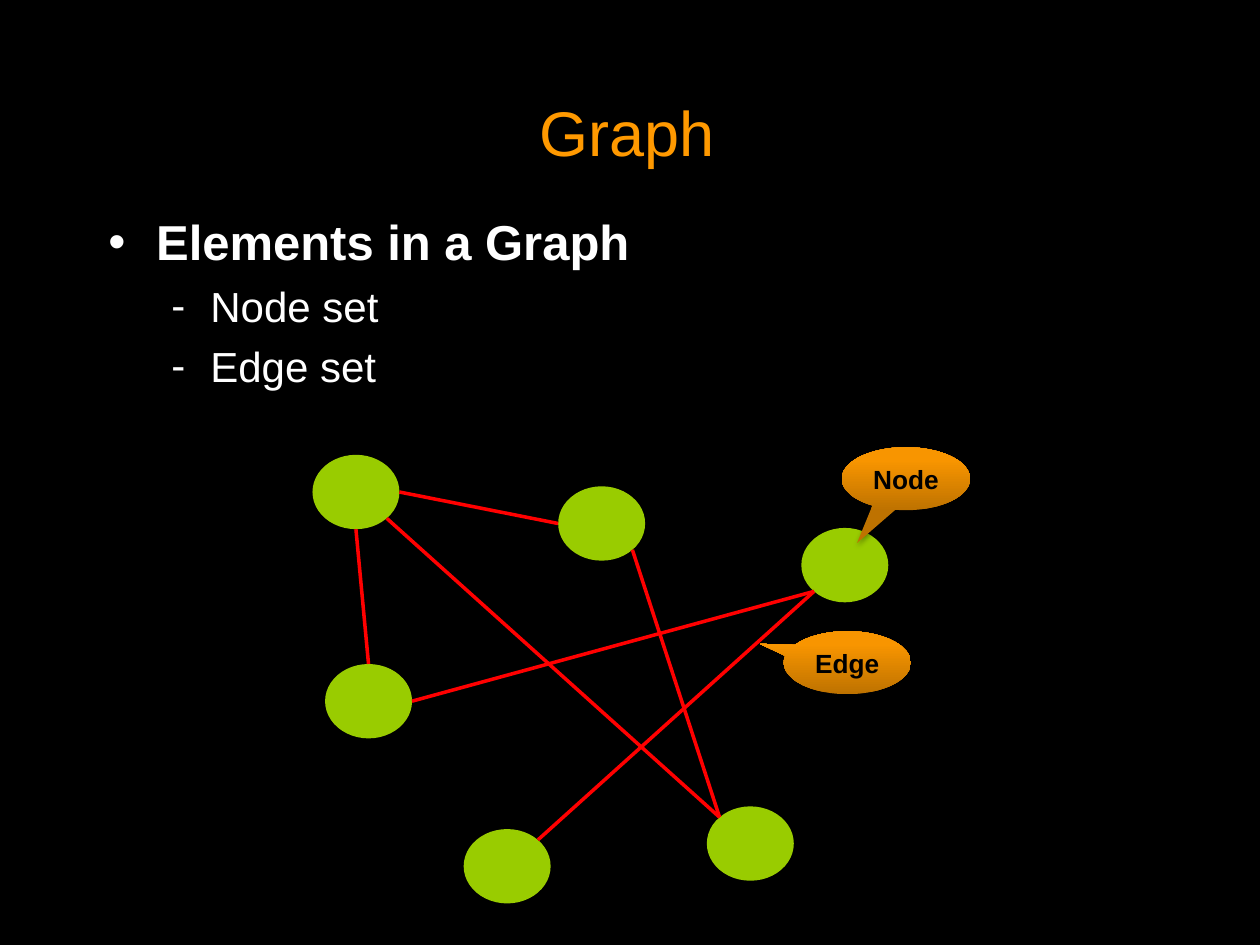
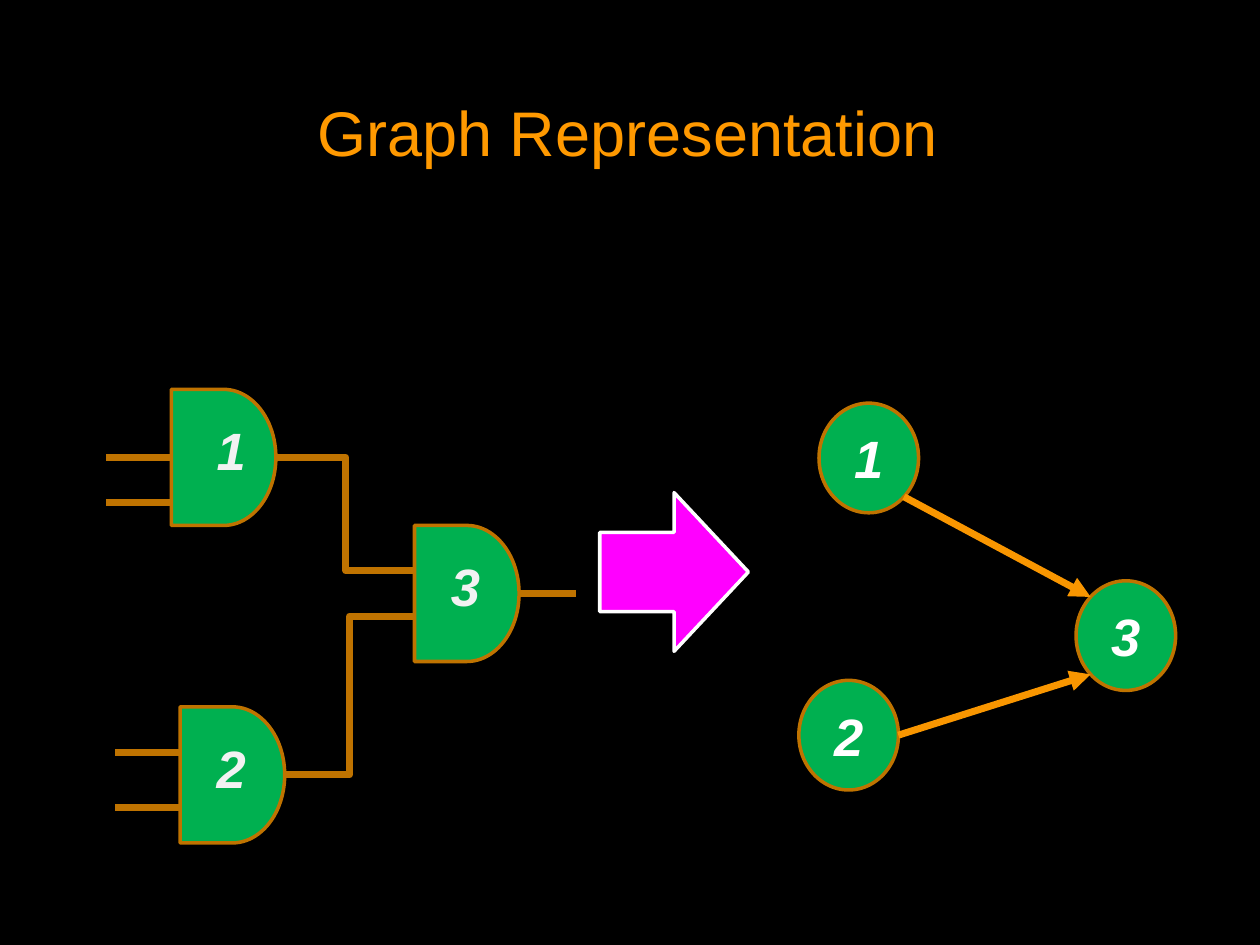
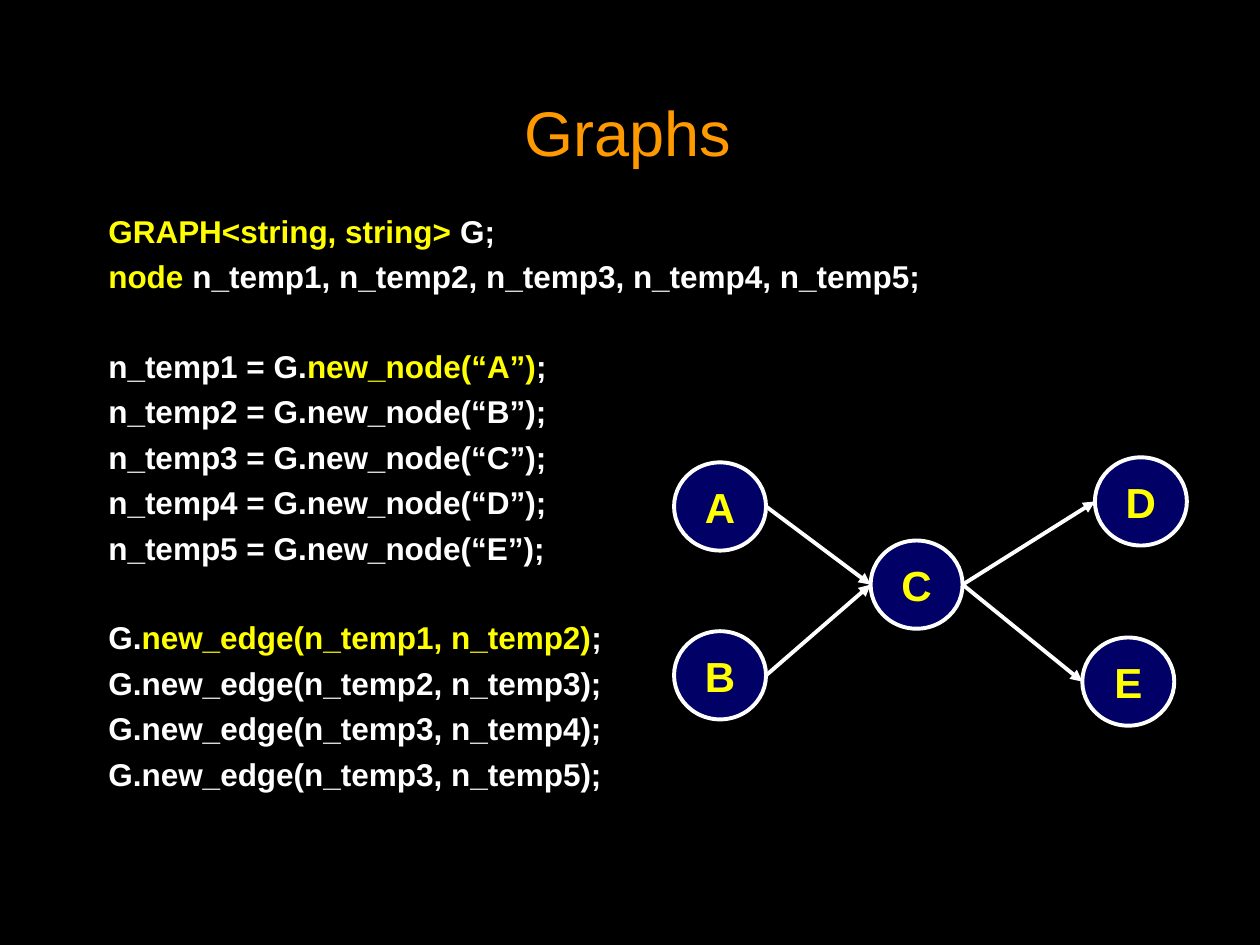
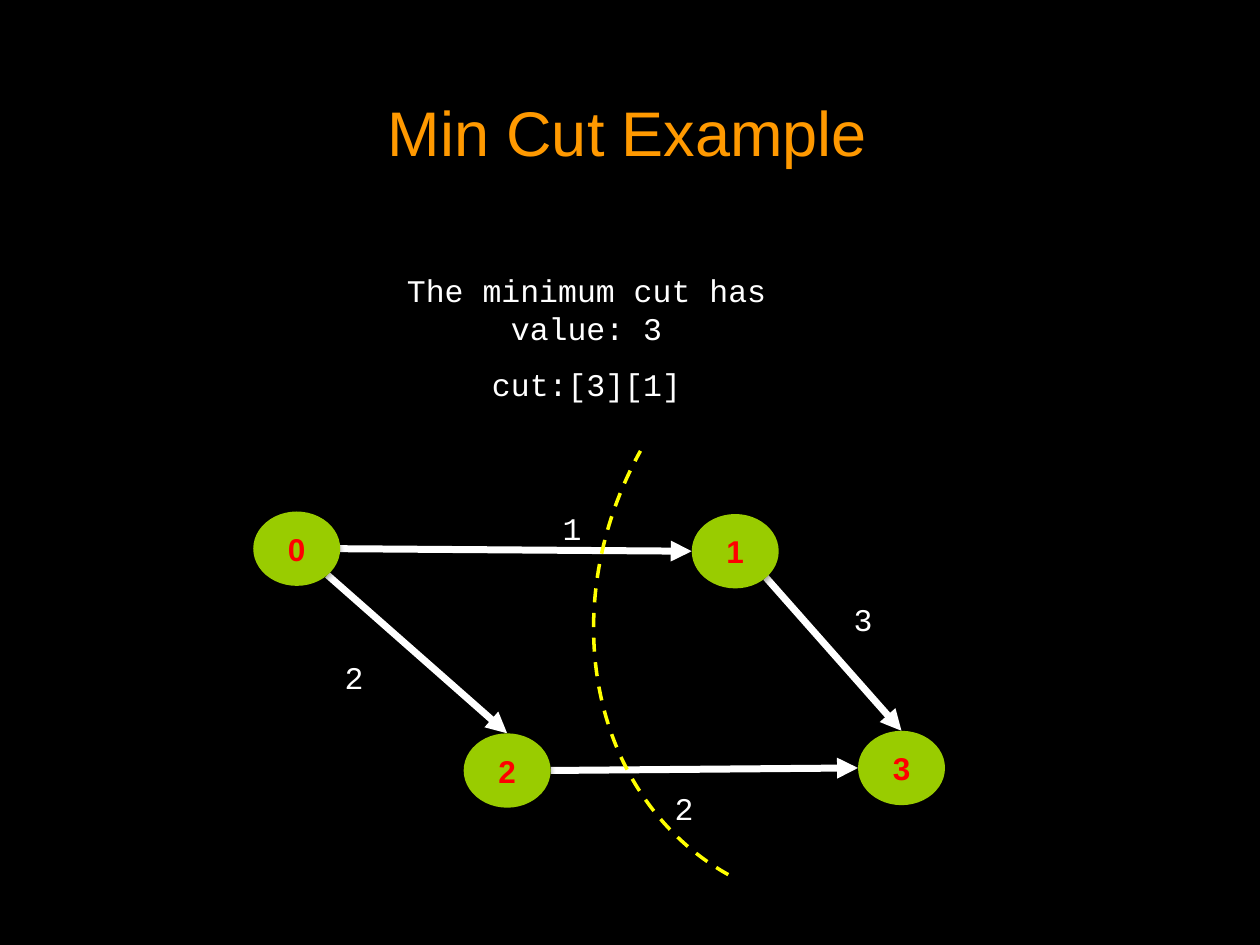
from math import sqrt

from lxml.etree import SubElement
from pptx import Presentation
from pptx.dml.color import RGBColor
from pptx.enum.dml import MSO_LINE
from pptx.enum.shapes import MSO_CONNECTOR, MSO_SHAPE
from pptx.enum.text import MSO_ANCHOR, MSO_AUTO_SIZE, PP_ALIGN
from pptx.oxml.ns import qn
from pptx.util import Inches, Pt

COLORS = {
    "black": "000000", "white": "FFFFFF", "title": "FF9900", "lime": "99CC00",
    "red": "FF0000", "green": "00B050", "brown": "BF7300", "orange": "F99600",
    "magenta": "FF00FF", "yellow": "FFFF00", "navy": "000066", "pale": "F2F2F2",
    "callout dark": "BE7200", "callout light": "F89500",
}
FONTS = {
    "title": {"name": "Arial", "size": Pt(36), "bold": False},
    "heading": {"name": "Arial", "size": Pt(28), "bold": True},
    "item": {"name": "Arial", "size": Pt(24), "bold": False},
    "code": {"name": "Arial", "size": Pt(18), "bold": True},
    "callout": {"name": "Arial", "size": Pt(15), "bold": True},
    "number": {"name": "Arial", "size": Pt(30), "bold": True, "italic": True},
    "letter": {"name": "Arial", "size": Pt(24), "bold": True},
    "output": {"name": "Courier New", "size": Pt(18)},
}
TITLE_BOX = (0.73, 0.58, 8.5, 0.93)
NODE_SIZE = (0.69, 0.59)

# Points on an ellipse where edges attach, in half widths and half heights
DIAGONAL = sqrt(0.5)
SITES = {
    "N": (0, -1), "S": (0, 1), "W": (-1, 0), "E": (1, 0),
    "NW": (-DIAGONAL, -DIAGONAL), "NE": (DIAGONAL, -DIAGONAL),
    "SW": (-DIAGONAL, DIAGONAL), "SE": (DIAGONAL, DIAGONAL),
}


def rgb(color):
    return RGBColor.from_string(COLORS[color])


def lengths(values):
    return [Inches(value) for value in values]


def site_point(box, site):
    left, top, width, height = box
    across, down = SITES[site]
    return left + width / 2 * (1 + across), top + height / 2 * (1 + down)


class GraphDeck:
    def __init__(self):
        self.prs = Presentation()
        self.prs.slide_width, self.prs.slide_height = lengths((10, 7.5))
        backdrop = self.prs.slide_master.background.fill
        backdrop.solid()
        backdrop.fore_color.rgb = rgb("black")
        self.slide = None

    def new_slide(self, title, has_body=False):
        layout = self.prs.slide_layouts[1 if has_body else 5]
        self.slide = self.prs.slides.add_slide(layout)
        heading = self.slide.shapes.title
        frame = self.place(heading, TITLE_BOX)
        frame.vertical_anchor = MSO_ANCHOR.MIDDLE
        self.add_runs(frame.paragraphs[0], [(title, "title")], "title", PP_ALIGN.CENTER)

    def place(self, placeholder, box):
        formats = zip(("left", "top", "width", "height"), lengths(box))
        for name, value in formats:
            setattr(placeholder, name, value)
        frame = placeholder.text_frame
        frame.auto_size = MSO_AUTO_SIZE.NONE
        frame.word_wrap = True
        return frame

    def add_runs(self, paragraph, runs, font, align=PP_ALIGN.LEFT, before=0):
        paragraph.alignment = align
        paragraph.space_before = Pt(before)
        for text, color in runs:
            run = paragraph.add_run()
            run.text = text
            for name, value in FONTS[font].items():
                setattr(run.font, name, value)
            run.font.color.rgb = rgb(color)

    def body(self, box, lines):
        """Each line holds runs, font, space before, level, bullet, margin and hang."""
        frame = self.place(self.slide.placeholders[1], box)
        for index, (runs, font, before, level, bullet, margin, hang) in enumerate(lines):
            paragraph = frame.add_paragraph() if index else frame.paragraphs[0]
            paragraph.level = level
            self.add_runs(paragraph, runs, font, before=before)
            props = paragraph._p.get_or_add_pPr()
            props.set("marL", str(Inches(margin)))
            props.set("indent", str(-Inches(hang)))
            if bullet:
                SubElement(props, qn("a:buChar")).set("char", bullet)
            else:
                SubElement(props, qn("a:buNone"))

    def shape(self, kind, box, fill=None, line=None, weight=2, shadow=False):
        shape = self.slide.shapes.add_shape(kind, *lengths(box))
        shape.shadow.inherit = False
        if fill:
            shape.fill.solid()
            shape.fill.fore_color.rgb = rgb(fill)
        else:
            shape.fill.background()
        if line:
            shape.line.color.rgb = rgb(line)
            shape.line.width = Pt(weight)
        else:
            shape.line.fill.background()
        if shadow:
            effects = shape._element.spPr.find(qn("a:effectLst"))
            outer = SubElement(effects, qn("a:outerShdw"), blurRad="40000",
                               dist="23000", dir="5400000", rotWithShape="0")
            tint = SubElement(outer, qn("a:srgbClr"), val=COLORS["black"])
            SubElement(tint, qn("a:alpha"), val="35000")
        return shape

    def label(self, shape, text, font, color):
        frame = shape.text_frame
        formats = {"margin_left": 0, "margin_right": 0, "margin_top": 0,
                   "margin_bottom": 0, "word_wrap": False,
                   "vertical_anchor": MSO_ANCHOR.MIDDLE}
        for name, value in formats.items():
            setattr(frame, name, value)
        self.add_runs(frame.paragraphs[0], [(text, color)], font, PP_ALIGN.CENTER)

    def node(self, box, fill, text="", font="code", color="red", **outline):
        ellipse = self.shape(MSO_SHAPE.OVAL, box, fill, **outline)
        if text:
            self.label(ellipse, text, font, color)

    def callout(self, box, text, tip):
        bubble = self.shape(MSO_SHAPE.OVAL_CALLOUT, box, shadow=True)
        for index, value in enumerate(tip):
            bubble.adjustments[index] = value
        bubble.fill.gradient()
        bubble.fill.gradient_angle = 90
        dark, light = bubble.fill.gradient_stops
        dark.color.rgb = rgb("callout dark")
        light.color.rgb = rgb("callout light")
        light.position = 0.8
        self.label(bubble, text, "callout", "black")

    def line(self, start, end, color, weight, arrow=False, kind=MSO_CONNECTOR.STRAIGHT):
        wire = self.slide.shapes.add_connector(kind, *lengths((*start, *end)))
        wire.line.color.rgb = rgb(color)
        wire.line.width = Pt(weight)
        if arrow:
            outline = wire._element.spPr.find(qn("a:ln"))
            SubElement(outline, qn("a:tailEnd"), type="triangle")
        SubElement(wire._element.spPr, qn("a:effectLst"))

    def edges(self, nodes, links, color, weight, arrow=True):
        for source, leaving, target, entering in links:
            self.line(site_point(nodes[source], leaving),
                      site_point(nodes[target], entering), color, weight, arrow)

    def text(self, box, lines, before=0):
        frame = self.slide.shapes.add_textbox(*lengths(box)).text_frame
        frame.word_wrap = True
        for index, line in enumerate(lines):
            paragraph = frame.add_paragraph() if index else frame.paragraphs[0]
            self.add_runs(paragraph, [(line, "white")], "output", PP_ALIGN.CENTER,
                          before if index else 0)

    def weight(self, corner, value):
        box = self.slide.shapes.add_textbox(*lengths((*corner, 0.34, 0.4)))
        self.label(box, value, "output", "white")


def graph_elements(deck):
    deck.new_slide("Graph", has_body=True)
    deck.body((0.76, 1.63, 8.5, 1.8), [
        ([("Elements in a Graph", "white")], "heading", 5.6, 0, "•", 0.38, 0.38),
        ([("Node set", "white")], "item", 5.6, 1, "-", 0.81, 0.31),
        ([("Edge set", "white")], "item", 5.6, 1, "-", 0.81, 0.31),
    ])
    corners = {"top left": (2.48, 3.61), "left": (2.58, 5.27), "right": (6.36, 4.19),
               "bottom right": (5.61, 6.4), "bottom": (3.68, 6.58), "top": (4.43, 3.86)}
    nodes = {name: (*corner, *NODE_SIZE) for name, corner in corners.items()}
    for box in nodes.values():
        deck.node(box, "lime", shadow=True)
    deck.edges(nodes, [
        ("top left", "E", "top", "W"),
        ("top left", "S", "left", "N"),
        ("top left", "SE", "bottom right", "NW"),
        ("top", "SE", "bottom right", "NW"),
        ("left", "E", "right", "SW"),
        ("bottom", "NE", "right", "SW"),
    ], "red", 2, arrow=False)
    deck.callout((6.68, 3.55, 1.02, 0.5), "Node", (-0.38, 1.02))
    deck.callout((6.22, 5.01, 1.01, 0.5), "Edge", (-0.69, -0.3))


def graph_representation(deck):
    deck.new_slide("Graph Representation")

    # Circuit: gates, wires, then gate numbers
    for corner in ((1.36, 3.09), (1.43, 5.61), (3.29, 4.17)):
        deck.shape(MSO_SHAPE.FLOWCHART_DELAY, (*corner, 0.83, 1.08), "green", "brown")
    for right, height in ((1.36, 3.63), (1.36, 3.99), (1.43, 5.97), (1.43, 6.41)):
        deck.line((right, height), (right - 0.52, height), "brown", 4)
    deck.line((4.57, 4.71), (4.12, 4.71), "brown", 4)
    for gate_input, gate_output in (((3.29, 4.89), (2.26, 6.15)),
                                    ((3.29, 4.53), (2.2, 3.63))):
        deck.line(gate_input, gate_output, "brown", 4, kind=MSO_CONNECTOR.ELBOW)
    for number, corner in (("1", (1.62, 3.27)), ("2", (1.62, 5.79)), ("3", (3.48, 4.35))):
        plate = deck.shape(MSO_SHAPE.RECTANGLE, (*corner, 0.32, 0.77), "green")
        frame = plate.text_frame
        frame.vertical_anchor = MSO_ANCHOR.TOP
        deck.add_runs(frame.paragraphs[0], [(number, "pale")], "number")

    # Equivalent graph
    corners = {"1": (6.5, 3.2), "2": (6.34, 5.4), "3": (8.54, 4.61)}
    nodes = {name: (*corner, 0.79, 0.87) for name, corner in corners.items()}
    for name, box in nodes.items():
        deck.node(box, "green", name, "number", "white", line="brown")
    deck.edges(nodes, [("1", "SE", "3", "NW"), ("2", "E", "3", "SW")], "orange", 4)
    deck.shape(MSO_SHAPE.RIGHT_ARROW, (4.76, 3.91, 1.18, 1.26), "magenta", "white")


def graph_code(deck):
    deck.new_slide("Graphs", has_body=True)

    # Code blocks: plain text, highlighted text, plain text
    declarations = [
        ("", "GRAPH<string, string>", " G;"),
        ("", "node", " n_temp1, n_temp2, n_temp3, n_temp4, n_temp5;"),
    ]
    node_calls = [("n_temp1 = G.", "new_node(“A”)", ";")]
    node_calls += [(f"n_temp{number} = G.new_node(“{name}”);", "", "")
                   for number, name in enumerate("BCDE", 2)]
    edge_calls = [("G.", "new_edge(n_temp1, n_temp2)", ";")]
    edge_calls += [(f"G.new_edge(n_temp{start}, n_temp{end});", "", "")
                   for start, end in ((2, 3), (3, 4), (3, 5))]
    lines = []
    for block in (declarations, node_calls, edge_calls):
        for index, parts in enumerate(block):
            runs = [(part, color) for part, color
                    in zip(parts, ("white", "yellow", "white")) if part]
            before = 29.6 if lines and not index else 4.4
            lines.append((runs, "code", before, 0, "", 0, 0))
    deck.body((0.76, 1.63, 6.8, 5.39), lines)

    # Resulting graph
    corners = {"A": (5.35, 3.67), "B": (5.35, 5.01), "C": (6.91, 4.29),
               "D": (8.69, 3.63), "E": (8.59, 5.06)}
    nodes = {name: (*corner, 0.73, 0.7) for name, corner in corners.items()}
    for name, box in nodes.items():
        deck.node(box, "navy", name, "letter", "yellow", line="white", weight=2.25)
    deck.edges(nodes, [(start, "E", end, "W") for start, end in ("AC", "BC", "CD", "CE")],
               "white", 2.25)


def min_cut(deck):
    deck.new_slide("Min Cut Example")

    # Weighted graph
    corners = {"2": (3.68, 5.82), "0": (2.01, 4.06), "3": (6.81, 5.8), "1": (5.49, 4.08)}
    nodes = {name: (*corner, *NODE_SIZE) for name, corner in corners.items()}
    deck.edges(nodes, [
        ("0", "SE", "2", "N"), ("2", "E", "3", "W"),
        ("1", "SE", "3", "N"), ("0", "E", "1", "W"),
    ], "white", 4)
    for name, box in nodes.items():
        deck.node(box, "lime", name, shadow=True)
    for value, corner in (("1", (4.37, 3.99)), ("2", (2.64, 5.17)),
                          ("2", (5.26, 6.21)), ("3", (6.68, 4.71))):
        deck.weight(corner, value)

    # Cut line and program output
    cut = deck.shape(MSO_SHAPE.ARC, (4.8, 2.07, 4.49, 5.2), line="yellow")
    cut.rotation = 209.1
    cut.line.dash_style = MSO_LINE.DASH
    deck.text((2.87, 2.1, 3.57, 0.86), ["The minimum cut has value: 3", "cut:[3][1]"],
              before=10.5)


def main():
    deck = GraphDeck()
    for build in (graph_elements, graph_representation, graph_code, min_cut):
        build(deck)
    deck.prs.save("out.pptx")


if __name__ == "__main__":
    main()
